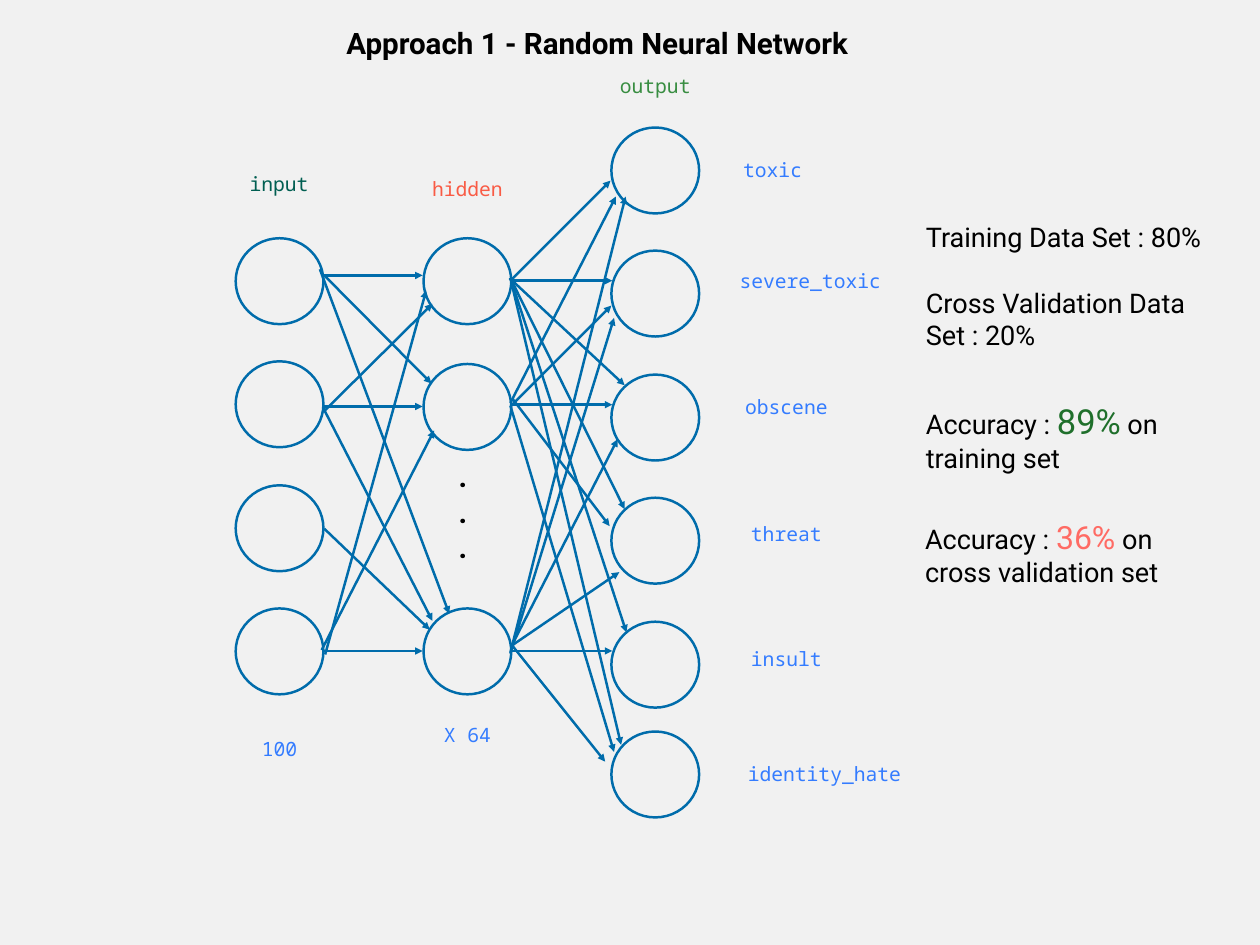
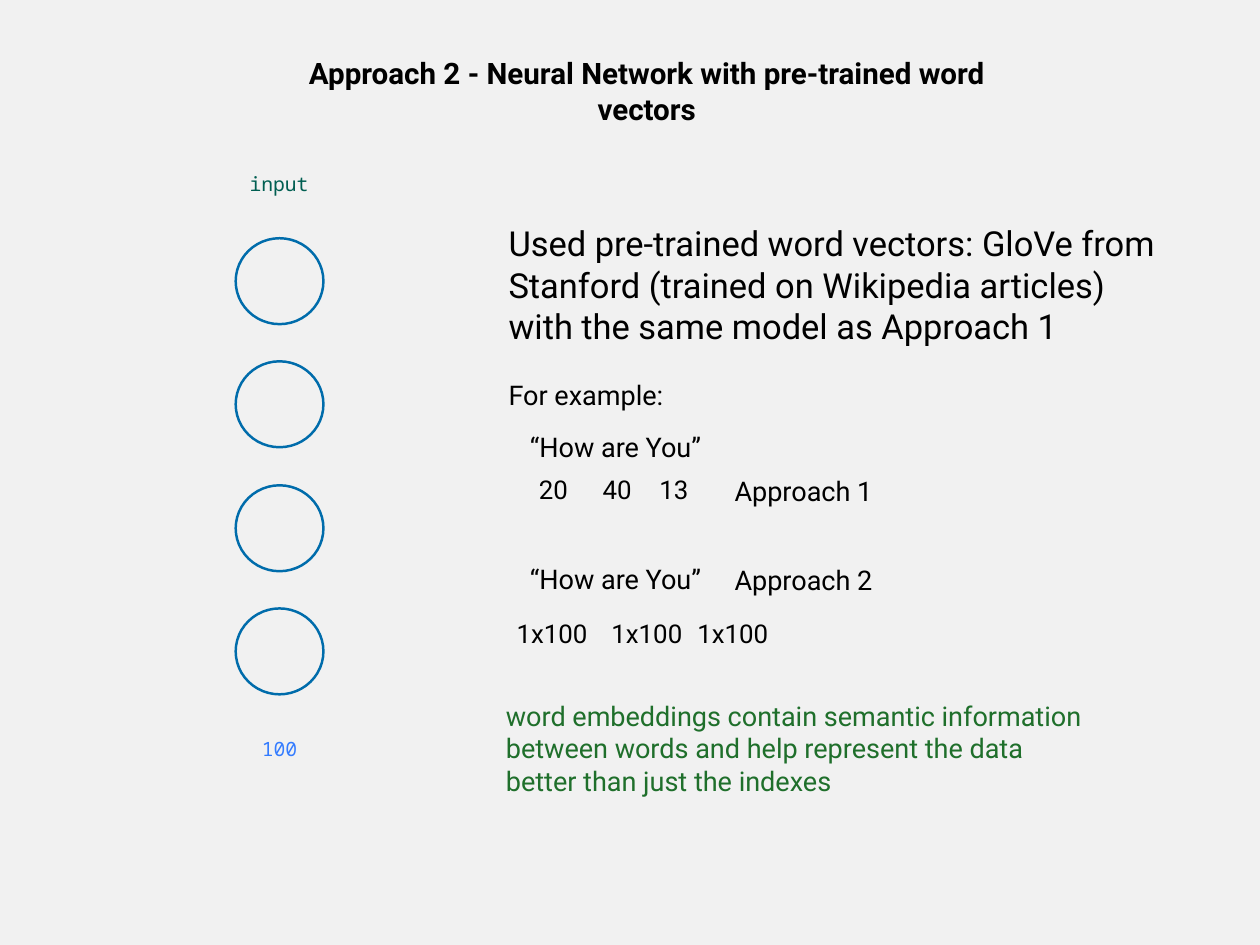
from math import ceil

from lxml.etree import SubElement
from pptx import Presentation
from pptx.dml.color import RGBColor
from pptx.enum.shapes import MSO_CONNECTOR, MSO_SHAPE
from pptx.enum.text import MSO_ANCHOR, MSO_AUTO_SIZE, PP_ALIGN
from pptx.oxml.ns import qn
from pptx.util import Emu, Pt

EMU_PER_PX = 9144
BACKGROUND = RGBColor(0xF1, 0xF1, 0xF1)
BLACK = RGBColor(0x00, 0x00, 0x00)
NODE_BLUE = RGBColor(0x00, 0x6C, 0xAB)
LABEL_BLUE = RGBColor(0x34, 0x7C, 0xFF)
INPUT_GREEN = RGBColor(0x00, 0x5E, 0x51)
HIDDEN_RED = RGBColor(0xF9, 0x5B, 0x45)
OUTPUT_GREEN = RGBColor(0x38, 0x8D, 0x41)
DARK_GREEN = RGBColor(0x1F, 0x6F, 0x2B)
CORAL = RGBColor(0xFF, 0x6B, 0x64)

NODE_WIDTH, NODE_HEIGHT, NODE_PITCH = 99, 97, 139.4
INPUT_X, HIDDEN_X, OUTPUT_X = 266, 478, 690
INPUT_TOPS = [round(269 + NODE_PITCH * row) for row in range(4)]
HIDDEN_TOPS = [269, 411, 687]
OUTPUT_TOPS = [round(144 + NODE_PITCH * row) for row in range(5)] + [826]

OUTPUT_LABELS = [
    ("toxic", 832, 172), ("severe_toxic", 828, 297), ("obscene", 834, 439),
    ("threat", 841, 582), ("insult", 841, 724), ("identity_hate", 837, 854),
]

INPUT_ARROWS = [
    (364, 311, 477, 311), (366, 311, 487, 433), (361, 304, 507, 693),
    (364, 459, 477, 459), (365, 465, 488, 343), (365, 461, 488, 701),
    (366, 597, 485, 711),
    (364, 735, 477, 735), (367, 739, 481, 328), (363, 734, 490, 486),
]
HIDDEN_ARROWS = [
    (577, 316, 689, 204), (578, 317, 691, 317), (575, 314, 705, 435),
    (576, 314, 705, 575), (576, 314, 707, 714), (576, 314, 701, 841),
    (576, 455, 695, 222), (578, 457, 690, 345), (578, 457, 691, 457),
    (579, 451, 688, 594), (576, 458, 693, 849),
    (576, 737, 706, 222), (576, 738, 693, 359), (578, 728, 697, 496),
    (576, 730, 699, 646), (578, 735, 691, 735), (579, 730, 683, 860),
]


def px(length):
    return Emu(round(length * EMU_PER_PX))


class Deck:
    body = {"name": "Roboto", "size": Pt(22), "bold": False}
    heading = {"name": "Roboto", "size": Pt(24), "bold": True}
    mono = {"name": "Noto Sans Mono", "size": Pt(16), "bold": False}

    def __init__(self, width, height):
        self.presentation = Presentation()
        self.presentation.slide_width = px(width)
        self.presentation.slide_height = px(height)
        fill = self.presentation.slide_master.background.fill
        fill.solid()
        fill.fore_color.rgb = BACKGROUND
        self.slide = None

    def new_slide(self):
        self.slide = self.presentation.slides.add_slide(self.presentation.slide_layouts[6])

    def text(self, box, paragraphs, style=body, color=BLACK, align=PP_ALIGN.LEFT, wrap=True):
        frame = self.slide.shapes.add_textbox(*map(px, box)).text_frame
        settings = {
            "word_wrap": wrap, "auto_size": MSO_AUTO_SIZE.SHAPE_TO_FIT_TEXT,
            "vertical_anchor": MSO_ANCHOR.MIDDLE, "margin_left": px(6),
            "margin_right": px(6), "margin_top": px(6), "margin_bottom": px(6),
        }
        for name, value in settings.items():
            setattr(frame, name, value)
        for index, runs in enumerate(paragraphs):
            paragraph = frame.add_paragraph() if index else frame.paragraphs[0]
            paragraph.alignment = align
            for content, size, run_color in runs:
                run = paragraph.add_run()
                run.text = content
                for name, value in {**style, "size": size or style["size"]}.items():
                    setattr(run.font, name, value)
                run.font.color.rgb = run_color or color

    def plain(self, box, *lines, **options):
        self.text(box, [[(line, None, None)] for line in lines], **options)

    def title(self, box, content):
        self.plain(box, content, style=self.heading, align=PP_ALIGN.CENTER)

    def label(self, content, left, top, color=LABEL_BLUE):
        width = self.label_width(content)
        self.plain((left, top, width, 40), content, style=self.mono, color=color,
                   align=PP_ALIGN.CENTER, wrap=False)

    def label_width(self, content):
        return ceil(len(content) * 40 / 3) + 13

    def column_label(self, content, column, top, color=LABEL_BLUE):
        left = column + (NODE_WIDTH - self.label_width(content)) // 2
        self.label(content, left, top, color)

    def number(self, content, left, width):
        top = 692 if "x" in content else 530
        self.plain((left, top, width, 45), content, style={**self.body, "size": Pt(21)},
                   align=PP_ALIGN.CENTER, wrap=False)

    def nodes(self, left, tops):
        for top in tops:
            shape = self.slide.shapes.add_shape(
                MSO_SHAPE.OVAL, px(left), px(top), px(NODE_WIDTH), px(NODE_HEIGHT))
            shape.shadow.inherit = False
            shape.fill.background()
            self.stroke(shape.line)

    def stroke(self, line):
        line.color.rgb = NODE_BLUE
        line.width = Pt(2)

    def arrow(self, points):
        connector = self.slide.shapes.add_connector(MSO_CONNECTOR.STRAIGHT, *map(px, points))
        self.stroke(connector.line)
        properties = connector._element.spPr
        SubElement(properties.get_or_add_ln(), qn("a:tailEnd"), type="triangle")
        SubElement(properties, qn("a:effectLst"))

    def input_layer(self):
        self.nodes(INPUT_X, INPUT_TOPS)
        self.column_label("input", INPUT_X, 187, INPUT_GREEN)
        self.column_label("100", INPUT_X, 825)


def build_random_network(deck):
    deck.new_slide()
    deck.input_layer()
    deck.nodes(HIDDEN_X, HIDDEN_TOPS)
    deck.nodes(OUTPUT_X, OUTPUT_TOPS)
    for content, left, top in OUTPUT_LABELS:
        deck.label(content, left, top)
    deck.column_label("hidden", HIDDEN_X, 193, HIDDEN_RED)
    deck.column_label("output", OUTPUT_X, 77, OUTPUT_GREEN)
    deck.column_label("X 64", HIDDEN_X, 810)
    deck.plain((507, 512, 31, 131), *"...", style=deck.heading,
               align=PP_ALIGN.CENTER, wrap=False)
    for points in INPUT_ARROWS + HIDDEN_ARROWS:
        deck.arrow(points)
    deck.title((333, 23, 682, 50), "Approach 1 - Random Neural Network")
    deck.plain((1039, 243, 336, 48), "Training Data Set : 80%")
    deck.plain((1039, 317, 336, 85), "Cross Validation Data Set : 20%")
    accuracies = [
        ((1039, 446, 336, 95), "89%", 28, DARK_GREEN, " on training set"),
        ((1038, 578, 336, 92), "36%", 26, CORAL, " on cross validation set"),
    ]
    for box, value, size, color, ending in accuracies:
        deck.text(box, [[("Accuracy : ", None, None), (value, Pt(size), color),
                         (ending, None, None)]])


def build_word_vectors(deck):
    deck.new_slide()
    deck.title((333, 57, 794, 91), "Approach 2 - Neural Network with pre-trained word vectors")
    deck.plain((568, 245, 787, 152),
               "Used pre-trained word vectors: GloVe from Stanford (trained on Wikipedia articles)",
               "with the same model as Approach 1", style={**deck.body, "size": Pt(28)})
    deck.plain((568, 422, 336, 48), "For example:")
    for top in (480, 629):
        deck.plain((592, top, 336, 48), "“How are You”")
    for content, top in (("Approach 1", 530), ("Approach 2", 631)):
        deck.plain((823, top, 195, 48), content)
    for content, left in (("20", 602), ("40", 674), ("13", 738)):
        deck.number(content, left, 45)
    for left in (577, 684, 781):
        deck.number("1x100", left, 92)
    deck.input_layer()
    deck.plain((565, 783, 666, 123),
               "word embeddings contain semantic information between words and help "
               "represent the data better than just the indexes", color=DARK_GREEN)


def main():
    deck = Deck(1422, 1067)
    build_random_network(deck)
    build_word_vectors(deck)
    deck.presentation.save("out.pptx")


if __name__ == "__main__":
    main()
